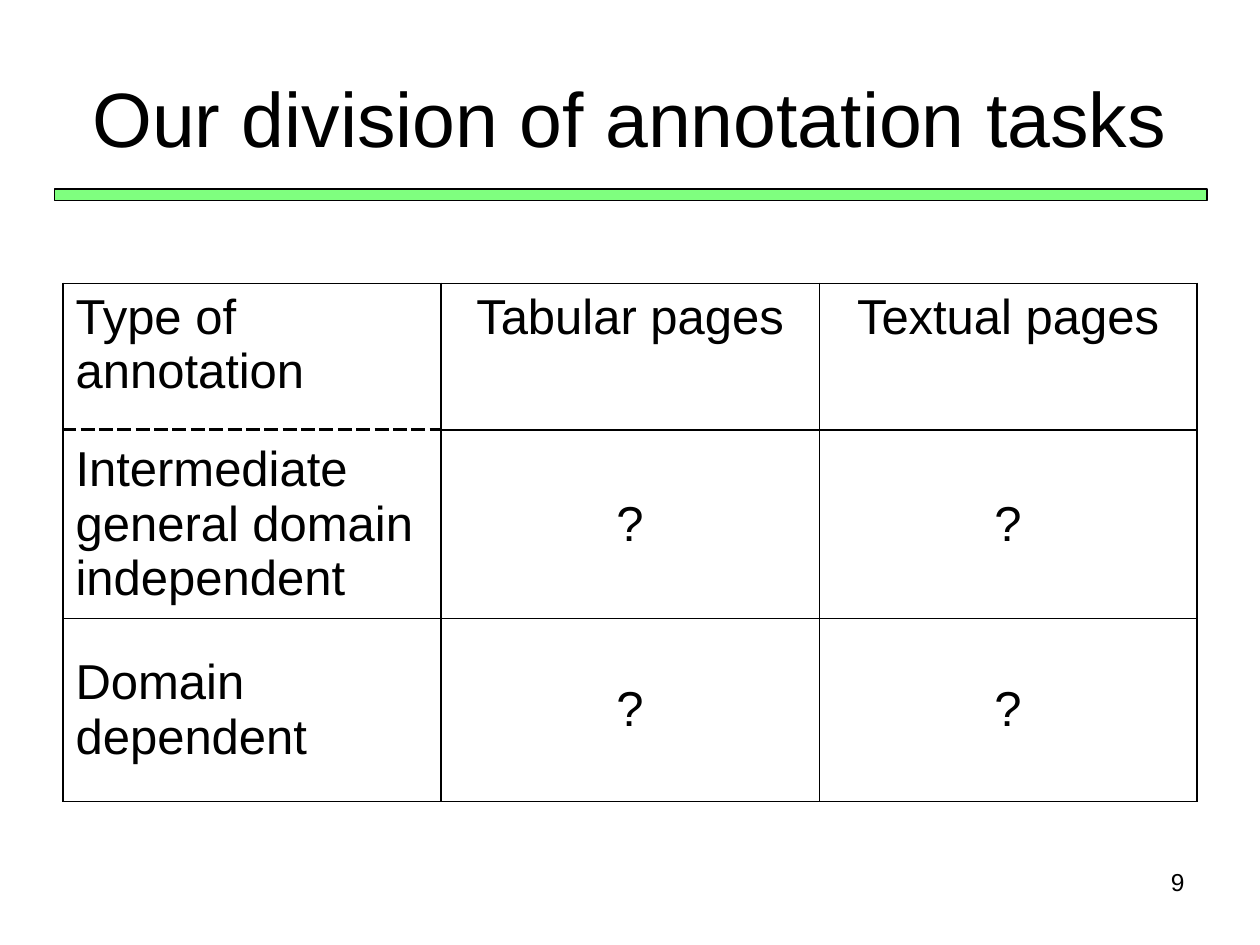
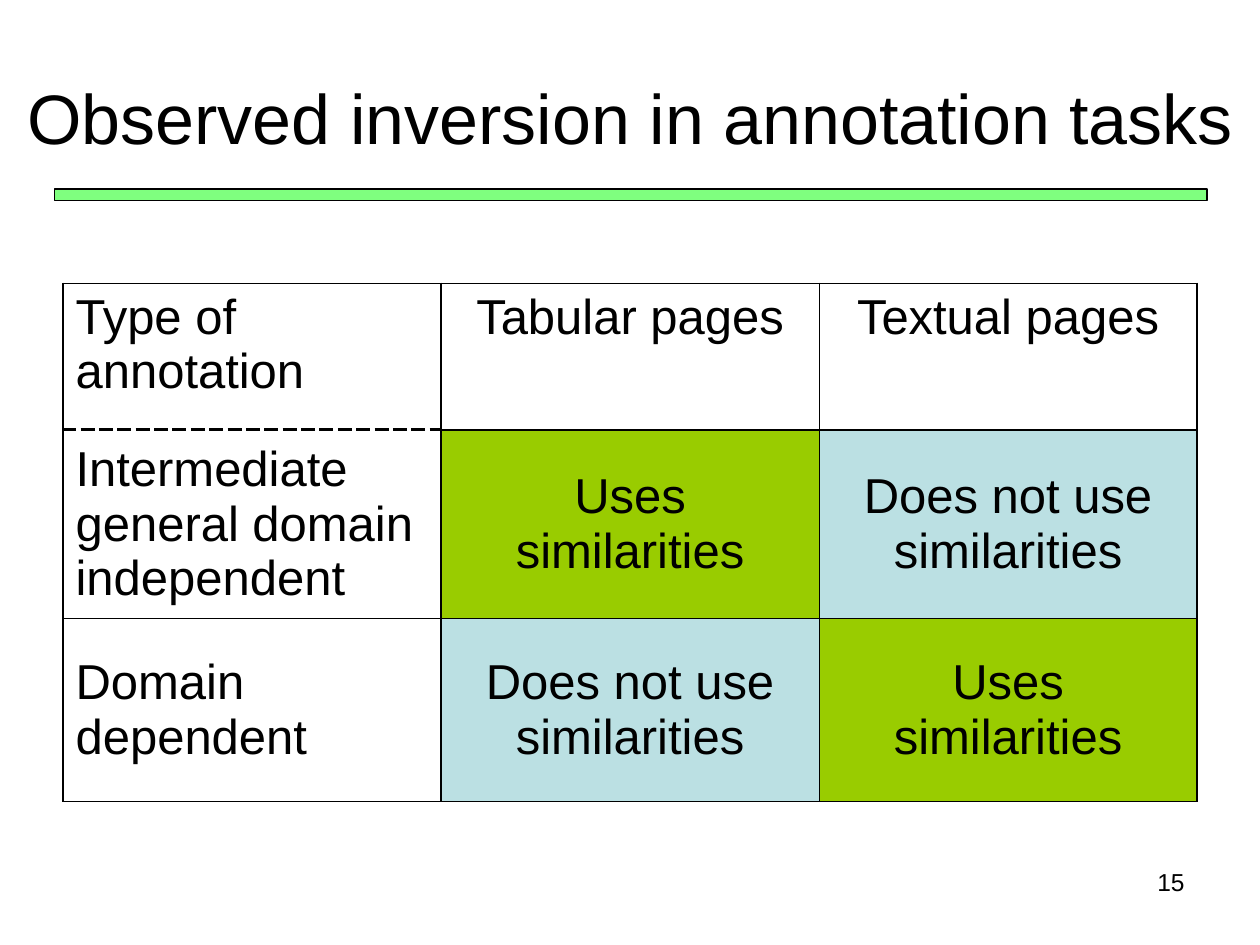
from itertools import product

from lxml.etree import SubElement
from pptx import Presentation
from pptx.dml.color import RGBColor
from pptx.enum.shapes import MSO_SHAPE
from pptx.enum.text import MSO_ANCHOR, MSO_AUTO_SIZE, PP_ALIGN
from pptx.oxml.ns import qn
from pptx.util import Inches, Pt

BLACK = RGBColor(0x00, 0x00, 0x00)
GREEN = RGBColor(0x00, 0xFF, 0x00)
LIME = RGBColor(0x99, 0xCC, 0x00)
AQUA = RGBColor(0xBB, 0xE0, 0xE3)

FONT = "Arial"
RULES = [1.08, 1.47, 0.45, 1.08]
ROWS = [1.16, 1.5, 1.45]
HEADS = ["Type of annotation", "Tabular pages", "Textual pages"]
KINDS = ["Intermediate general domain independent", "Domain dependent"]
ASK = "?"
USES = "Uses similarities"
AVOIDS = "Does not use similarities"
FILLS = {USES: LIME, AVOIDS: AQUA}


class Deck:
    def __init__(self):
        self.deck = Presentation()
        self.deck.slide_width = Inches(10)
        self.deck.slide_height = Inches(7.5)
        self.slide = None

    def start(self):
        self.slide = self.deck.slides.add_slide(self.deck.slide_layouts[5])

    def label(self, frame, text, size, align):
        frame.text = text
        para = frame.paragraphs[0]
        para.alignment = align
        font = para.runs[0].font
        font.name = FONT
        font.size = Pt(size)
        font.color.rgb = BLACK

    def title(self, text, size):
        title = self.slide.shapes.title
        title.left, title.top = Inches(0), Inches(0.3)
        title.width, title.height = Inches(10), Inches(1.25)
        frame = title.text_frame
        frame.auto_size = MSO_AUTO_SIZE.NONE
        frame.vertical_anchor = MSO_ANCHOR.MIDDLE
        self.label(frame, text, size, PP_ALIGN.CENTER)

    def band(self):
        band = self.slide.shapes.add_shape(
            MSO_SHAPE.RECTANGLE, Inches(0.43), Inches(1.5), Inches(9.15), Inches(0.09))
        band.shadow.inherit = False
        band.fill.solid()
        band.fill.fore_color.rgb = GREEN
        color = band.element.spPr.find(qn("a:solidFill"))[0]
        SubElement(color, qn("a:alpha"), val="50000")
        band.line.color.rgb = BLACK
        band.line.width = Pt(0.75)

    def number(self, text):
        box = self.slide.shapes.add_textbox(
            Inches(7.17), Inches(6.83), Inches(2.33), Inches(0.52))
        box.text_frame.word_wrap = True
        self.label(box.text_frame, text, 14, PP_ALIGN.RIGHT)

    def border(self, cell, side, width, dash):
        props = cell._tc.get_or_add_tcPr()
        line = SubElement(props, qn(f"a:ln{side}"), w=str(int(Pt(width))))
        fill = SubElement(line, qn("a:solidFill"))
        SubElement(fill, qn("a:srgbClr"), val=str(BLACK))
        SubElement(line, qn("a:prstDash"), val=dash)

    def cell(self, cell, row, col, text):
        self.label(cell.text_frame, text, 28, PP_ALIGN.CENTER if col else PP_ALIGN.LEFT)
        cell.vertical_anchor = MSO_ANCHOR.MIDDLE if row else MSO_ANCHOR.TOP
        sides = {"L": RULES[col], "R": RULES[col + 1],
                 "T": RULES[row], "B": RULES[row + 1]}
        dashed = {(0, 0): "B", (1, 0): "T"}.get((row, col))
        for side, width in sides.items():
            self.border(cell, side, width, "dash" if side == dashed else "solid")
        if text in FILLS:
            cell.fill.solid()
            cell.fill.fore_color.rgb = FILLS[text]
        else:
            cell.fill.background()

    def table(self, data):
        table = self.slide.shapes.add_table(
            len(data), len(HEADS), Inches(0.5), Inches(2.25),
            Inches(9), Inches(sum(ROWS))).table
        table.first_row = False
        table.horz_banding = False
        for row, height in zip(table.rows, ROWS):
            row.height = Inches(height)
        for row, col in product(range(len(data)), range(len(HEADS))):
            self.cell(table.cell(row, col), row, col, data[row][col])

    def page(self, title, size, marks, number):
        self.start()
        self.title(title, size)
        self.table([HEADS] + [[kind, *pair] for kind, pair in zip(KINDS, marks)])
        self.band()
        self.number(number)


def main():
    show = Deck()
    show.page("Our division of annotation tasks", 44,
              [(ASK, ASK), (ASK, ASK)], "9")
    show.page("Observed inversion in annotation tasks", 40,
              [(USES, AVOIDS), (AVOIDS, USES)], "15")
    show.deck.save("out.pptx")


if __name__ == "__main__":
    main()
